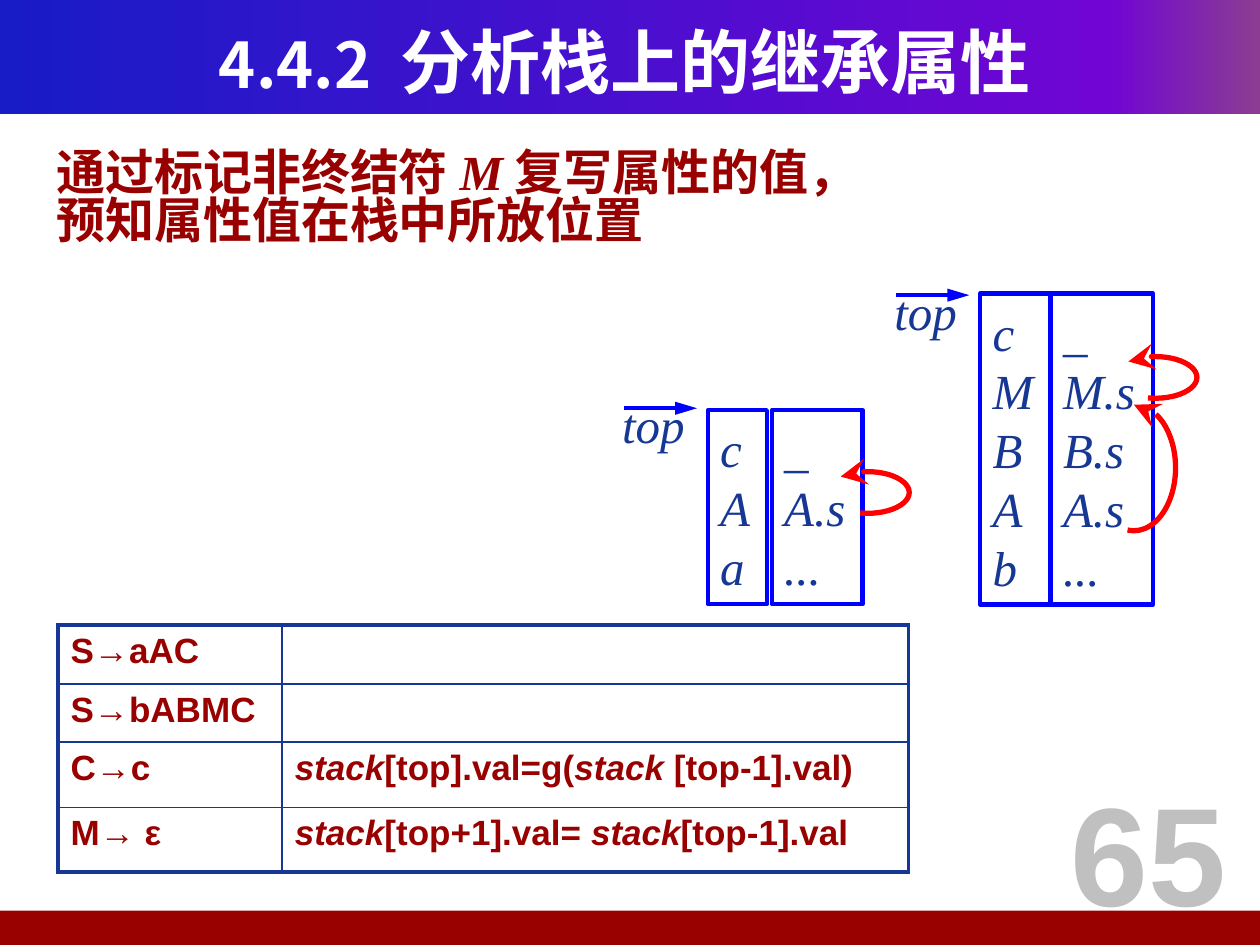
import math
from lxml import etree
from copy import deepcopy
from pptx import Presentation
from pptx import util as u
from pptx.dml.color import RGBColor
from pptx.enum import shapes, text
from pptx.oxml import ns

Cm = u.Cm
THEME = {
    "red": "990000", "navy": "163794", "blue": "0000FF", "arc": "FF0000",
    "gray": "C0C0C0", "white": "FFFFFF",
    "band": [("181CC7", 0), ("7005D4", 0.88), ("8C3D91", 1)],
    "serif": "Times New Roman", "sans": "Arial", "cjk": "Noto Sans CJK SC",
    "title": 40, "number": 36, "body": 28, "table": 20, "page": 80,
}


def write(frame, paragraphs, color, face, align=text.PP_ALIGN.LEFT, spacing=1.0, **format_values):
    """Fill a text frame; each paragraph is a list of (words, font overrides)."""
    for row, runs in enumerate(paragraphs):
        paragraph = frame.paragraphs[0] if row == 0 else frame.add_paragraph()
        paragraph.alignment = align
        paragraph.line_spacing = spacing
        for words, overrides in runs:
            run = paragraph.add_run()
            run.text = words
            values = {"name": face, "bold": False, "italic": False, **format_values, **overrides}
            for key, value in values.items():
                setattr(run.font, key, value)
            run.font.color.rgb = RGBColor.from_string(color)
            east_asian = etree.SubElement(run.font._element, ns.qn("a:ea"))
            east_asian.set("typeface", THEME["cjk"])


def stroke(item, color, width, end=None, **arrow):
    """Give a shape or connector a plain line, with an optional arrowhead."""
    item.line.color.rgb = RGBColor.from_string(color)
    item.line.width = u.Pt(width)
    if end:
        etree.SubElement(item.line._get_or_add_ln(), ns.qn("a:" + end), **arrow)
    properties = item._element.spPr
    if properties.find(ns.qn("a:effectLst")) is None:
        etree.SubElement(properties, ns.qn("a:effectLst"))


prs = Presentation()
prs.slide_width, prs.slide_height = Cm(25.4), Cm(19.05)
slide = prs.slides.add_slide(prs.slide_layouts[5])
canvas = slide.shapes

# Header and footer bands
header = canvas.add_shape(shapes.MSO_SHAPE.RECTANGLE, 0, 0, Cm(25.4), Cm(2.31))
footer = canvas.add_shape(shapes.MSO_SHAPE.RECTANGLE, 0, Cm(18.36), Cm(25.4), Cm(0.69))
for band in (header, footer):
    band.shadow.inherit = False
    band.line.fill.background()
footer.fill.solid()
footer.fill.fore_color.rgb = RGBColor.from_string(THEME["red"])
header.fill.gradient()
header.fill.gradient_angle = 0
stop_list = header._element.spPr.find(".//" + ns.qn("a:gsLst"))
while len(stop_list) < len(THEME["band"]):
    stop_list.append(deepcopy(stop_list[0]))
for stop, (color, position) in zip(header.fill.gradient_stops, THEME["band"]):
    stop.color.rgb = RGBColor.from_string(color)
    stop.position = position

# Title, brought in front of the header band
title = canvas.title
title.left, title.top, title.width, title.height = Cm(0.84), Cm(0.43), Cm(23.5), Cm(1.57)
title.text_frame.vertical_anchor = text.MSO_ANCHOR.MIDDLE
title.text_frame.auto_size = text.MSO_AUTO_SIZE.NONE
write(title.text_frame, [[("4.4.2 ", {"size": u.Pt(THEME["number"])}), ("分析栈上的继承属性", {})]],
      THEME["white"], THEME["cjk"], text.PP_ALIGN.CENTER, size=u.Pt(THEME["title"]), bold=True)
canvas._spTree.append(title._element)

# Parser stacks: left, top, height, pointer level, (width, entries) of each column, gap
stacks = [
    (14.27, 8.27, 3.91, 8.23, [(1.19, ["c", "A", "a"]), (1.83, ["_", "A.s", "..."])], 0.1),
    (19.76, 5.92, 6.27, 5.95, [(1.42, ["c", "M", "B", "A", "b"]),
                               (2.06, ["_", "M.s", "B.s", "A.s", "..."])], 0),
]
for left, top, height, level, columns, gap in stacks:
    pointer = canvas.add_connector(shapes.MSO_CONNECTOR.STRAIGHT,
                                   Cm(left - 1.7), Cm(level), Cm(left - 0.22), Cm(level))
    stroke(pointer, THEME["blue"], 2.5, "tailEnd", type="triangle", w="med", len="lg")
    label = canvas.add_textbox(Cm(left - 1.98), Cm(level - 0.41), Cm(2.3), Cm(1.45))
    frames = [(label.text_frame, ["top"])]
    for width, entries in columns:
        column = canvas.add_shape(shapes.MSO_SHAPE.RECTANGLE, Cm(left), Cm(top), Cm(width), Cm(height))
        column.fill.background()
        stroke(column, THEME["blue"], 2.5)
        frames.append((column.text_frame, entries))
        left += width + gap
    for frame, entries in frames:
        frame.word_wrap = True
        frame.vertical_anchor = text.MSO_ANCHOR.MIDDLE
        write(frame, [[(entry, {})] for entry in entries], THEME["navy"], THEME["serif"],
              size=u.Pt(THEME["body"]), italic=True)

# Copy arrows: ellipse centre, radii, then start and end offsets from the centre
arcs = [
    (22.86, 9.43, 0.84, 1.27, (0, -1.27), (-0.13, 1.27)),
    (23.29, 7.61, 0.84, 0.42, (-0.54, -0.32), (-0.15, 0.42)),
    (17.49, 9.93, 0.84, 0.42, (-0.54, -0.32), (-0.15, 0.42)),
]
for x, y, rx, ry, start, end in arcs:
    arc = canvas.add_shape(shapes.MSO_SHAPE.ARC, Cm(x - rx), Cm(y - ry), Cm(2 * rx), Cm(2 * ry))
    for index, (dx, dy) in enumerate((start, end)):
        degrees = math.degrees(math.atan2(dy, dx)) % 360
        arc.adjustments[index] = degrees * 0.6  # 60000 units a degree, stored in 100000ths
    arc.fill.background()
    stroke(arc, THEME["arc"], 3, "headEnd", type="stealth", w="lg", len="lg")

# Statement
statement = canvas.add_textbox(Cm(0.89), Cm(2.72), Cm(21.39), Cm(2.62)).text_frame
statement.word_wrap = True
statement.vertical_anchor = text.MSO_ANCHOR.MIDDLE
write(statement, [[("通过标记非终结符", {}), ("M", {"italic": True}), ("复写属性的值，", {})],
                  [("预知属性值在栈中所放位置", {})]],
      THEME["red"], THEME["serif"], spacing=0.82, size=u.Pt(THEME["body"]), bold=True)

# Productions and their semantic rules
slanted = {"italic": True}
rules = [
    ("S→aAC", []),
    ("S→bABMC", []),
    ("C→c", [("stack", slanted), ("[top].val=g(", {}), ("stack ", slanted), ("[top-1].val)", {})]),
    ("M→ ε", [("stack", slanted), ("[top+1].val= ", {}), ("stack", slanted), ("[top-1].val", {})]),
]
row_heights, column_widths = [1.19, 1.17, 1.32, 1.3], [4.52, 12.62]
table = canvas.add_table(len(rules), 2, Cm(1.17), Cm(12.6),
                         Cm(sum(column_widths)), Cm(sum(row_heights))).table
table.first_row = table.horz_banding = False
for column, width in zip(table.columns, column_widths):
    column.width = Cm(width)
for r, (production, action) in enumerate(rules):
    table.rows[r].height = Cm(row_heights[r])
    for c, runs in enumerate(([(production, {})], action)):
        cell = table.cell(r, c)
        write(cell.text_frame, [runs], THEME["red"], THEME["sans"],
              size=u.Pt(THEME["table"]), bold=True)
        cell.fill.background()
        outer = {"lnL": c == 0, "lnR": c == 1, "lnT": r == 0, "lnB": r == len(rules) - 1}
        for order, (side, is_outer) in enumerate(outer.items()):
            border = etree.Element(ns.qn("a:" + side), w=str(u.Pt(2.25 if is_outer else 1)))
            fill = etree.SubElement(border, ns.qn("a:solidFill"))
            etree.SubElement(fill, ns.qn("a:srgbClr"), val=THEME["navy"])
            cell._tc.get_or_add_tcPr().insert(order, border)

# Page number
page = canvas.add_textbox(Cm(20.9), Cm(15.32), Cm(4.5), Cm(3.61)).text_frame
page.word_wrap = True
write(page, [[("65", {})]], THEME["gray"], THEME["sans"], text.PP_ALIGN.CENTER,
      size=u.Pt(THEME["page"]), bold=True)

prs.save("out.pptx")
